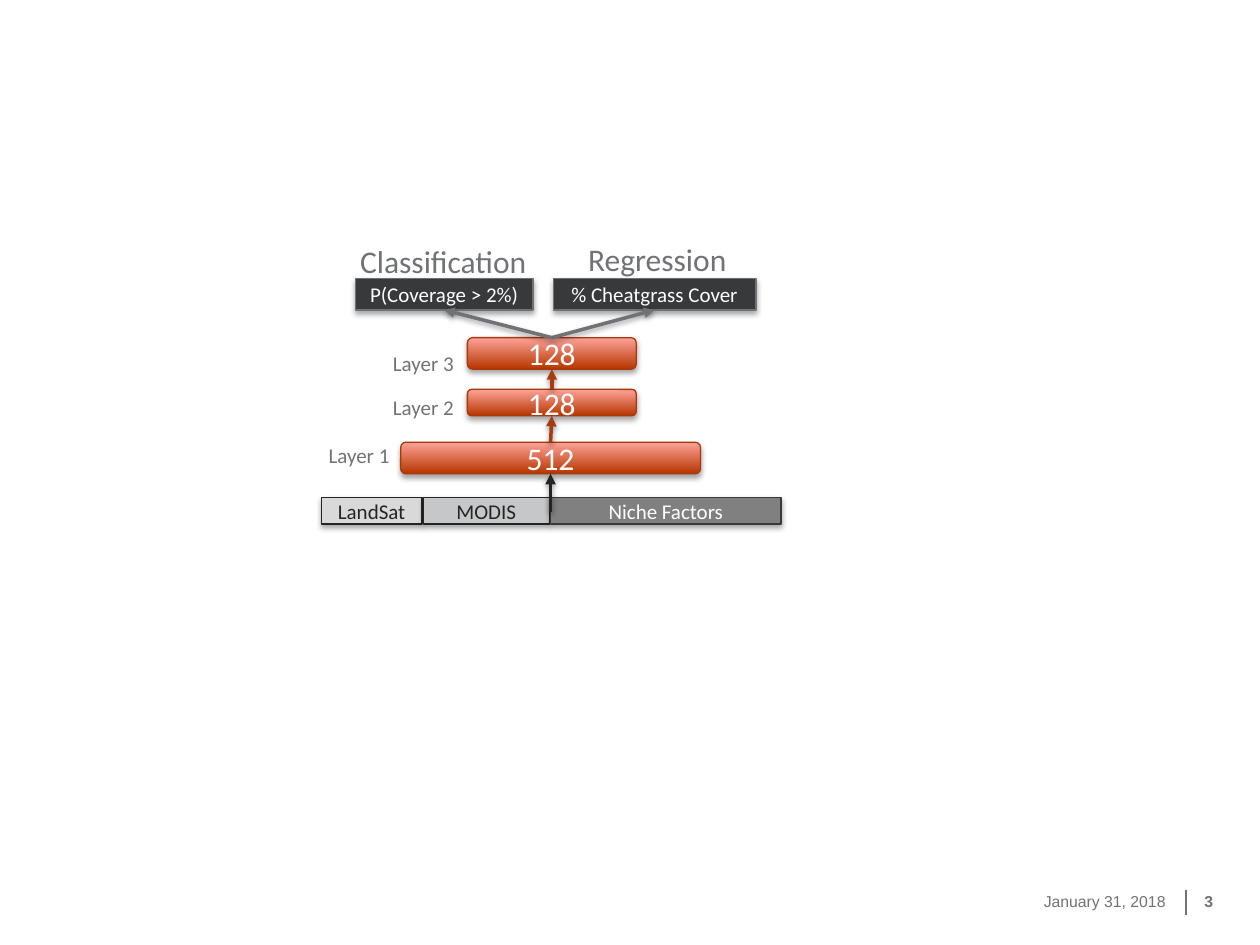
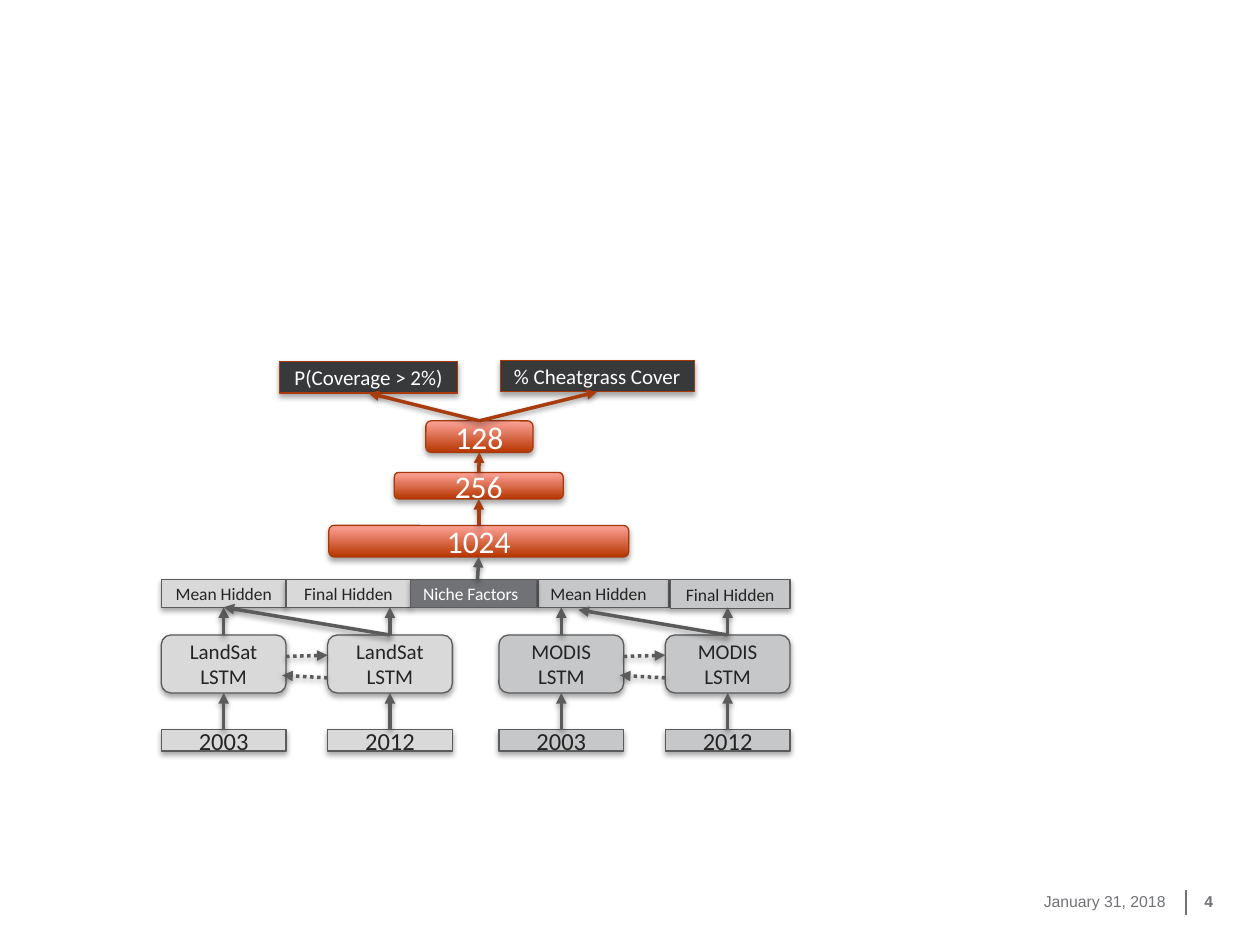
from dataclasses import dataclass, field, replace

import lxml.etree
import pptx
import pptx.dml.color
import pptx.enum.dml
import pptx.enum.shapes
import pptx.enum.text
import pptx.oxml
import pptx.oxml.ns
import pptx.util

Inches = pptx.util.Inches
RECTANGLE = pptx.enum.shapes.MSO_SHAPE.RECTANGLE
ROUNDED = pptx.enum.shapes.MSO_SHAPE.ROUNDED_RECTANGLE
LEFT, CENTER, RIGHT = (getattr(pptx.enum.text.PP_ALIGN, name) for name in ("LEFT", "CENTER", "RIGHT"))
TOP_SIDE, BOTTOM_SIDE = 0, 2


@dataclass(frozen=True)
class Theme:
    body_font: str = "Calibri"
    footer_font: str = "Arial"
    white: str = "FFFFFF"
    ink: str = "242424"
    charcoal: str = "38393B"
    gray: str = "707276"
    mid_gray: str = "808080"
    wire: str = "5B5B5B"
    landsat: str = "D9D9D9"
    modis: str = "C6C7C8"
    rust: str = "A8390B"
    rust_arrow: str = "A83C0F"
    gradient: tuple = ("B73600", "FDA399")
    footer_size: int = 9
    strip_size: int = 10
    label_size: int = 12
    year_size: int = 14
    heading_size: int = 18
    border: float = 0.75
    arrow_width: float = 2


THEME = Theme()


@dataclass(frozen=True)
class BoxStyle:
    fill: object
    line: str
    text: str = THEME.ink
    size: int = THEME.label_size
    outline: object = RECTANGLE
    align: object = CENTER


LAYER = BoxStyle(THEME.gradient, THEME.rust, THEME.white, THEME.heading_size, ROUNDED)
OUTPUT = BoxStyle(THEME.charcoal, THEME.gray, THEME.white)
RUST_OUTPUT = replace(OUTPUT, line=THEME.rust)
SENSORS = {"LandSat": BoxStyle(THEME.landsat, THEME.wire), "MODIS": BoxStyle(THEME.modis, THEME.wire)}
NICHE = BoxStyle(THEME.mid_gray, THEME.charcoal, THEME.white)
NICHE_STRIP = BoxStyle(THEME.gray, THEME.wire, THEME.white, THEME.strip_size, align=LEFT)


@dataclass
class Diagram:
    """boxes: name -> (style, text, frame); labels: (text, size, frame);
    arrows: (start, end, colour, dotted), each end a point or (box name, side)."""
    number: str
    boxes: dict
    arrows: list
    labels: list = field(default_factory=list)


DATE = "January 31, 2018"
PROBABILITY, COVER = "P(Coverage > 2%)", "% Cheatgrass Cover"


def output_arrows(color):
    return [(("layer 3", TOP_SIDE), (name, BOTTOM_SIDE), color, False) for name in (COVER, PROBABILITY)]


LAYER_ARROWS = [((f"layer {n}", TOP_SIDE), (f"layer {n + 1}", BOTTOM_SIDE), THEME.rust_arrow, False)
                for n in (1, 2)]


def dense_network():
    boxes = {
        "layer 1": (LAYER, "512", (3.18, 3.51, 2.38, 0.25)),
        "LandSat": (replace(SENSORS["LandSat"], line=THEME.ink), "LandSat", (2.55, 3.95, 0.8, 0.21)),
        "MODIS": (replace(SENSORS["MODIS"], line=THEME.ink), "MODIS", (3.36, 3.95, 1, 0.21)),
        "niche": (NICHE, "Niche Factors", (4.37, 3.95, 1.83, 0.21)),
        "layer 2": (LAYER, "128", (3.71, 3.09, 1.34, 0.21)),
        "layer 3": (LAYER, "128", (3.71, 2.68, 1.34, 0.25)),
        PROBABILITY: (OUTPUT, PROBABILITY, (2.82, 2.21, 1.41, 0.25)),
        COVER: (OUTPUT, COVER, (4.39, 2.21, 1.61, 0.25)),
    }
    labels = [
        ("Classification", THEME.heading_size, (2.76, 1.87, 1.73, 0.4)),
        ("Regression", THEME.heading_size, (4.57, 1.86, 1.73, 0.4)),
        ("Layer 1", THEME.label_size, (2.51, 3.46, 0.7, 0.3)),
        ("Layer 2", THEME.label_size, (3.02, 3.08, 0.7, 0.3)),
        ("Layer 3", THEME.label_size, (3.02, 2.73, 0.7, 0.3)),
    ]
    arrows = [((4.37, 4.06), ("layer 1", BOTTOM_SIDE), THEME.ink, False)]
    return Diagram("3", boxes, arrows + LAYER_ARROWS + output_arrows(THEME.gray), labels)


def recurrent_network():
    boxes = {
        "layer 1": (LAYER, "1024", (2.61, 4.17, 2.38, 0.25)),
        "layer 2": (LAYER, "256", (3.13, 3.75, 1.34, 0.21)),
        "layer 3": (LAYER, "128", (3.38, 3.34, 0.85, 0.25)),
        PROBABILITY: (RUST_OUTPUT, PROBABILITY, (2.22, 2.87, 1.41, 0.25)),
        COVER: (RUST_OUTPUT, COVER, (3.97, 2.86, 1.54, 0.25)),
    }
    arrows = LAYER_ARROWS + output_arrows(THEME.rust_arrow)
    cell_width, cell_pitch = 0.99, 1.32
    # sensor: first cell's left, then the frames of its two hidden strips
    towers = {
        "LandSat": (1.28, (1.28, 4.6, 0.99, 0.22), (2.27, 4.6, 0.99, 0.22)),
        "MODIS": (3.96, (4.27, 4.6, 1.04, 0.22), (5.32, 4.6, 0.95, 0.23)),
    }
    for sensor, (left, mean_frame, final_frame) in towers.items():
        style = SENSORS[sensor]
        strip = replace(style, size=THEME.strip_size)
        mean_align = CENTER if sensor == "LandSat" else LEFT
        boxes[f"{sensor} mean"] = (replace(strip, align=mean_align), "Mean Hidden", mean_frame)
        boxes[f"{sensor} final"] = (strip, "Final Hidden", final_frame)
        for column, year in enumerate(("2003", "2012")):
            x = left + column * cell_pitch
            cell, source = f"{sensor} LSTM {year}", f"{sensor} {year}"
            boxes[source] = (replace(style, size=THEME.year_size), year, (x, 5.79, cell_width, 0.17))
            boxes[cell] = (replace(style, outline=ROUNDED), f"{sensor}\nLSTM", (x, 5.04, cell_width, 0.46))
            arrows.append(((source, TOP_SIDE), (cell, BOTTOM_SIDE), THEME.wire, False))
            above = (x + cell_width / 2, 4.82)
            joins_mean = sensor == "LandSat" and column == 0
            arrows.append(((cell, TOP_SIDE), ("LandSat mean", BOTTOM_SIDE) if joins_mean else above,
                           THEME.wire, False))
        mean_end = ("LandSat mean", BOTTOM_SIDE) if sensor == "LandSat" else (4.59, 4.84)
        arrows.append(((f"{sensor} LSTM 2012", TOP_SIDE), mean_end, THEME.wire, False))
        gap_left, gap_right = left + cell_width, left + cell_pitch
        arrows.append(((gap_left, 5.21), (gap_right, 5.2), THEME.wire, True))
        arrows.append(((gap_right, 5.38), (gap_left - 0.03, 5.36), THEME.wire, True))
    boxes["niche"] = (NICHE_STRIP, "Niche Factors", (3.26, 4.6, 1, 0.22))
    arrows.append(((3.79, 4.6), ("layer 1", BOTTOM_SIDE), THEME.wire, False))
    return Diagram("4", boxes, arrows)


def rgb(color):
    return pptx.dml.color.RGBColor.from_string(color)


def add_shadow(properties, opacity, distance):
    """Put a soft black shadow, falling straight down, on shape properties."""
    qn = pptx.oxml.ns.qn
    effects = properties.find(qn("a:effectLst"))
    if effects is None:
        effects = lxml.etree.SubElement(properties, qn("a:effectLst"))
    shadow = lxml.etree.SubElement(effects, qn("a:outerShdw"), blurRad="40000", dist=str(distance),
                                   dir="5400000", rotWithShape="0")
    color = lxml.etree.SubElement(shadow, qn("a:srgbClr"), val="000000")
    lxml.etree.SubElement(color, qn("a:alpha"), val=str(opacity * 1000))


def write_text(frame, text, size, color, align=LEFT, font=THEME.body_font, bold=False):
    frame.word_wrap = True
    for index, line in enumerate(text.split("\n")):
        paragraph = frame.add_paragraph() if index else frame.paragraphs[0]
        paragraph.alignment = align
        run = paragraph.add_run()
        run.text = line
        run.font.name, run.font.size, run.font.bold = font, pptx.util.Pt(size), bold
        run.font.color.rgb = rgb(color)


def add_text_box(slide, frame, *text_arguments, **text_options):
    text_frame = slide.shapes.add_textbox(*map(Inches, frame)).text_frame
    write_text(text_frame, *text_arguments, **text_options)
    return text_frame


def add_box(slide, style, text, frame):
    shape = slide.shapes.add_shape(style.outline, *map(Inches, frame))
    if isinstance(style.fill, tuple):
        shape.fill.gradient()
        shape.fill.gradient_angle = 90
        for stop, color in zip(shape.fill.gradient_stops, style.fill):
            stop.color.rgb = rgb(color)
    else:
        shape.fill.solid()
        shape.fill.fore_color.rgb = rgb(style.fill)
    shape.line.color.rgb = rgb(style.line)
    shape.line.width = pptx.util.Pt(THEME.border)
    shape.shadow.inherit = False
    add_shadow(shape._element.spPr, 35, 23000)
    write_text(shape.text_frame, text, style.size, style.text, style.align)
    return shape


def add_line(slide, start, end, color, width):
    connector = slide.shapes.add_connector(pptx.enum.shapes.MSO_CONNECTOR.STRAIGHT,
                                           *map(Inches, (*start, *end)))
    connector.line.color.rgb = rgb(color)
    connector.line.width = pptx.util.Pt(width)
    return connector


def add_arrow(slide, shapes, start, end, color, dotted):
    points = [(0, 0) if place[0] in shapes else place for place in (start, end)]
    connector = add_line(slide, *points, color, THEME.arrow_width)
    for place, connect in ((start, connector.begin_connect), (end, connector.end_connect)):
        if place[0] in shapes:
            connect(shapes[place[0]], place[1])
    if dotted:
        connector.line.dash_style = pptx.enum.dml.MSO_LINE.ROUND_DOT
    properties = connector._element.spPr
    outline = properties.find(pptx.oxml.ns.qn("a:ln"))
    lxml.etree.SubElement(outline, pptx.oxml.ns.qn("a:tailEnd"), type="triangle")
    add_shadow(properties, 38, 20000)


def add_footer(slide, number):
    divider = add_line(slide, (9.41, 7.06), (9.41, 7.26), THEME.gray, 1)
    lxml.etree.SubElement(divider._element.spPr, pptx.oxml.ns.qn("a:effectLst"))
    for text, frame, align, bold, right_inset in (
        (DATE, (7.5, 6.95, 1.75, 0.4), RIGHT, False, 0),
        (number, (9.56, 6.95, 0.33, 0.4), LEFT, True, 0.1),
    ):
        text_frame = add_text_box(slide, frame, text, THEME.footer_size, THEME.gray, align,
                                  font=THEME.footer_font, bold=bold)
        text_frame.vertical_anchor = pptx.enum.text.MSO_ANCHOR.MIDDLE
        text_frame.margin_left = text_frame.margin_top = text_frame.margin_bottom = 0
        text_frame.margin_right = Inches(right_inset)


def add_diagram(presentation, diagram):
    slide = presentation.slides.add_slide(presentation.slide_layouts[6])
    add_footer(slide, diagram.number)
    shapes = {name: add_box(slide, *box) for name, box in diagram.boxes.items()}
    for text, size, frame in diagram.labels:
        add_text_box(slide, frame, text, size, THEME.gray)
    for arrow in diagram.arrows:
        add_arrow(slide, shapes, *arrow)


def main():
    presentation = pptx.Presentation()
    presentation.slide_width, presentation.slide_height = Inches(10), Inches(7.5)
    for diagram in (dense_network(), recurrent_network()):
        add_diagram(presentation, diagram)
    presentation.save("out.pptx")


if __name__ == "__main__":
    main()
